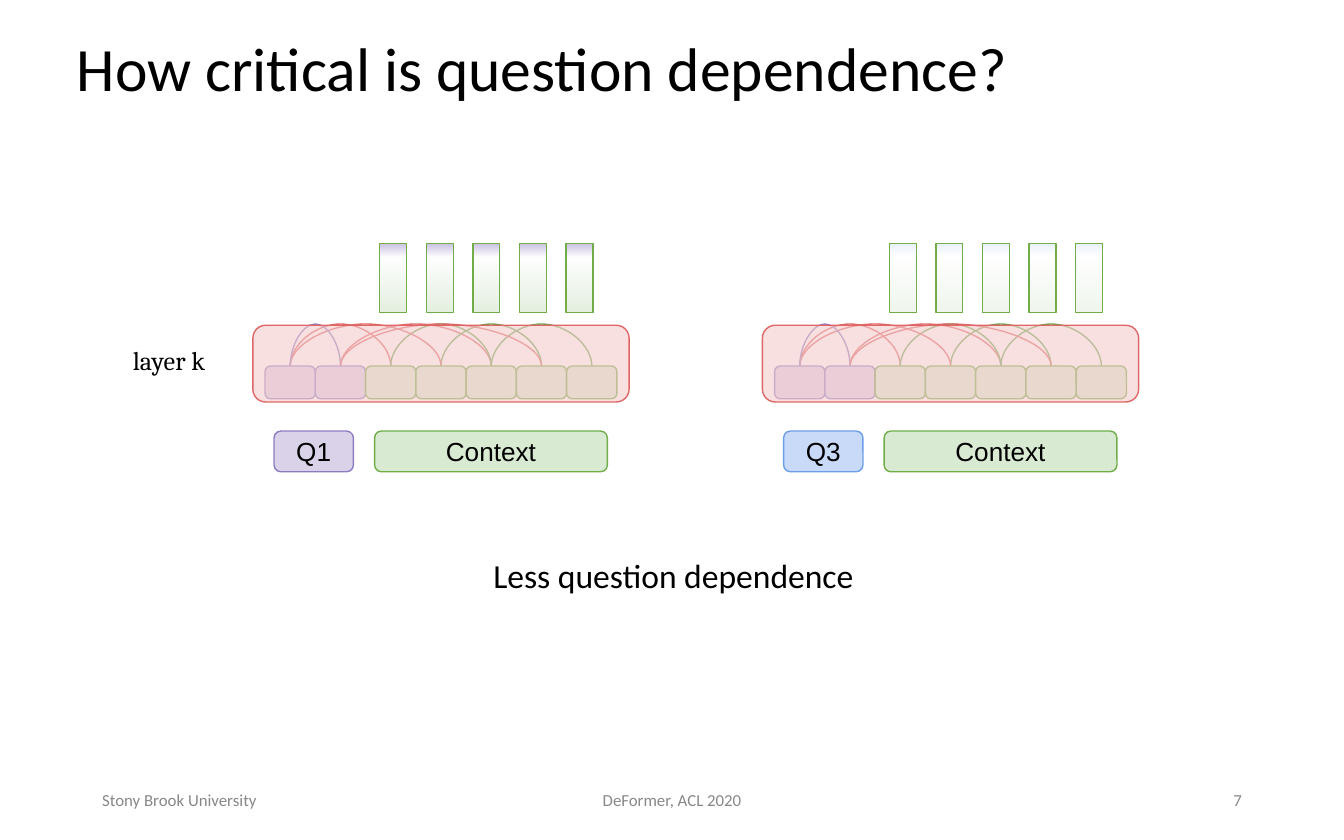
from dataclasses import dataclass

from lxml import etree
from pptx import Presentation
from pptx.dml.color import RGBColor
from pptx.enum.shapes import MSO_CONNECTOR, MSO_SHAPE
from pptx.enum.text import MSO_ANCHOR, PP_ALIGN
from pptx.oxml.ns import qn
from pptx.util import Cm, Pt

LEFT, CENTER, RIGHT = PP_ALIGN.LEFT, PP_ALIGN.CENTER, PP_ALIGN.RIGHT
TOP, MIDDLE = MSO_ANCHOR.TOP, MSO_ANCHOR.MIDDLE
ROUND, RECT = MSO_SHAPE.ROUNDED_RECTANGLE, MSO_SHAPE.RECTANGLE
CURVE = MSO_CONNECTOR.CURVE


@dataclass(frozen=True)
class Theme:
    ink: str = "000000"
    muted: str = "888888"
    white: str = "FFFFFF"
    purple: str = "D9D2E9"
    purple_line: str = "8E7CC3"
    purple_tint: str = "B4A7D6"
    blue: str = "C9DAF8"
    blue_line: str = "6D9EEB"
    green: str = "D9EAD3"
    green_line: str = "70AD47"
    green_arc: str = "6AA84F"
    red: str = "F4CCCC"
    red_line: str = "E06666"
    sans: str = "Calibri"
    serif: str = "Cambria"
    chip_font: str = "Arial"
    title: float = 33
    body: float = 18
    label: float = 14
    footer: float = 9
    line: float = 0.75


@dataclass(frozen=True)
class Label:
    text: str
    left: float
    top: float
    width: float
    height: float
    size: float
    color: str
    font: str
    align: PP_ALIGN = LEFT
    anchor: MSO_ANCHOR = MIDDLE
    inset_x: float = 0.25
    inset_y: float = 0.25


@dataclass(frozen=True)
class Panel:
    left: float
    question: str
    fill: str
    line: str
    bar_tint: str
    bar_alpha: int
    bar_stop: int


@dataclass(frozen=True)
class Arc:
    start: int
    end: int
    color: str


T = Theme()
CELL_PITCH, CELL_TOP, CELL_HEIGHT = 0.95, 6.92, 0.62
CELL_COUNT, QUESTION_CELLS = 7, 2
BAR_COUNT, BAR_PITCH, BAR_LENGTH, BAR_THICKNESS = 5, 0.88, 1.3, 0.51
ARC_DEPTH, ARC_ADJUST = 0.002, -39687500  # arc height is depth times adjustment

PANELS = [
    Panel(4.78, "Q1", T.purple, T.purple_line, T.purple_tint, 71, 20),
    Panel(14.41, "Q3", T.blue, T.blue_line, T.blue, 40, 19),
]
ARCS = [
    Arc(1, 4, T.red_line), Arc(0, 2, T.red_line),
    Arc(2, 4, T.green_arc), Arc(3, 5, T.green_arc),
    Arc(0, 3, T.red_line), Arc(0, 1, T.purple_line),
    Arc(4, 6, T.green_arc), Arc(1, 5, T.red_line),
]
FOOTER = dict(top=14.71, height=0.84, size=T.footer, color=T.muted,
              font=T.sans, inset_x=0.18, inset_y=0.1)
LABELS = [
    Label("Stony Brook University", 1.75, width=5.72, **FOOTER),
    Label("DeFormer, ACL 2020", 8.41, width=8.58, align=CENTER, **FOOTER),
    Label("7", 17.93, width=5.72, align=RIGHT, **FOOTER),
    Label("Less question dependence", 8.64, 10.36, 8.18, 1.02,
          T.body, T.ink, T.sans, CENTER),
    Label("layer k", 2.26, 6.27, 2.51, 1.02, T.label, T.ink, T.serif, anchor=TOP),
]


def write_text(s, label: Label) -> None:
    tf = s.text_frame
    tf.text = label.text
    tf.word_wrap = True
    tf.vertical_anchor = label.anchor
    tf.margin_left = tf.margin_right = Cm(label.inset_x)
    tf.margin_top = tf.margin_bottom = Cm(label.inset_y)
    p = tf.paragraphs[0]
    p.alignment = label.align
    font = p.runs[0].font
    font.name, font.size = label.font, Pt(label.size)
    font.color.rgb = RGBColor.from_string(label.color)


def add_label(shapes, label: Label) -> None:
    s = shapes.add_textbox(Cm(label.left), Cm(label.top), Cm(label.width), Cm(label.height))
    write_text(s, label)


def add_box(shapes, kind, left: float, top: float, width: float, height: float,
            fill: str, line: str):
    s = shapes.add_shape(kind, Cm(left), Cm(top), Cm(width), Cm(height))
    s.shadow.inherit = False
    s.fill.solid()
    s.fill.fore_color.rgb = RGBColor.from_string(fill)
    s.line.color.rgb = RGBColor.from_string(line)
    s.line.width = Pt(T.line)
    return s


def add_alpha(color, percent: int) -> None:
    etree.SubElement(color, qn("a:alpha"), val=str(percent * 1000))


def add_chip(shapes, text: str, left: float, width: float, fill: str, line: str) -> None:
    top, height = 8.15, 0.77
    s = add_box(shapes, ROUND, left, top, width, height, fill, line)
    write_text(s, Label(text, left, top, width, height, T.label, T.ink, T.chip_font, CENTER))


def add_arc(shapes, first_center: float, arc: Arc) -> None:
    """Curved connector turned upright, bulging above the cells."""
    span = (arc.end - arc.start) * CELL_PITCH
    middle = first_center + arc.start * CELL_PITCH + span / 2
    top = CELL_TOP - span / 2
    c = shapes.add_connector(CURVE, Cm(middle), Cm(top), Cm(middle + ARC_DEPTH), Cm(top + span))
    c.line.color.rgb = RGBColor.from_string(arc.color)
    c.line.width = Pt(T.line)
    sp_pr = c._element.spPr
    etree.SubElement(sp_pr, qn("a:effectLst"))
    xfrm = sp_pr.find(qn("a:xfrm"))
    xfrm.set("rot", "16200000")
    xfrm.set("flipH", "1")
    guides = sp_pr.find(qn("a:prstGeom")).find(qn("a:avLst"))
    etree.SubElement(guides, qn("a:gd"), name="adj1", fmla=f"val {ARC_ADJUST}")


def add_bar(shapes, center: float, panel: Panel) -> None:
    """Output vector: a turned rectangle with a translucent gradient."""
    s = add_box(shapes, RECT, center - BAR_LENGTH / 2, 5.0,
                BAR_LENGTH, BAR_THICKNESS, T.white, T.green_line)
    s.rotation = 90
    s.fill.gradient()
    s.fill.gradient_angle = 0
    stops = s._element.spPr.find(qn("a:gradFill")).find(qn("a:gsLst"))
    for old in list(stops):
        stops.remove(old)
    for pos, color in ((0, panel.bar_tint), (panel.bar_stop, T.white), (100, T.green)):
        stop = etree.SubElement(stops, qn("a:gs"), pos=str(pos * 1000))
        add_alpha(etree.SubElement(stop, qn("a:srgbClr"), val=color), panel.bar_alpha)


def add_panel(shapes, panel: Panel) -> None:
    # Input chips
    add_chip(shapes, "Context", panel.left + 2.3, 4.4, T.green, T.green_line)
    add_chip(shapes, panel.question, panel.left + 0.4, 1.5, panel.fill, panel.line)
    # Attention arcs and token cells
    first = panel.left + 0.23
    for arc in ARCS:
        add_arc(shapes, first + CELL_PITCH / 2, arc)
    for i in range(CELL_COUNT):
        fill, line = ((T.purple, T.purple_line) if i < QUESTION_CELLS
                      else (T.green, T.green_line))
        add_box(shapes, ROUND, first + i * CELL_PITCH, CELL_TOP,
                CELL_PITCH, CELL_HEIGHT, fill, line)
    # Translucent layer over the cells
    layer = add_box(shapes, ROUND, panel.left, 6.15, 7.11, 1.45, T.red, T.red_line)
    add_alpha(layer._element.spPr.find(qn("a:solidFill"))[0], 60)
    # Output vectors
    for i in range(BAR_COUNT):
        add_bar(shapes, panel.left + 2.65 + i * BAR_PITCH, panel)


def main() -> None:
    prs = Presentation()
    prs.slide_width, prs.slide_height = Cm(25.4), Cm(15.88)
    slide = prs.slides.add_slide(prs.slide_layouts[5])

    # Title
    title = slide.shapes.title
    title.left, title.top, title.width, title.height = Cm(1.27), Cm(0.3), Cm(22.86), Cm(2.11)
    write_text(title, Label("How critical is question dependence?", 1.27, 0.3, 22.86, 2.11,
                            T.title, T.ink, T.sans, inset_x=0.18, inset_y=0.1))
    title.text_frame.paragraphs[0].line_spacing = 0.9

    # Footer, caption and layer label
    for label in LABELS:
        add_label(slide.shapes, label)

    # Both encoder panels
    for panel in PANELS:
        add_panel(slide.shapes, panel)
    prs.save("out.pptx")


if __name__ == "__main__":
    main()
